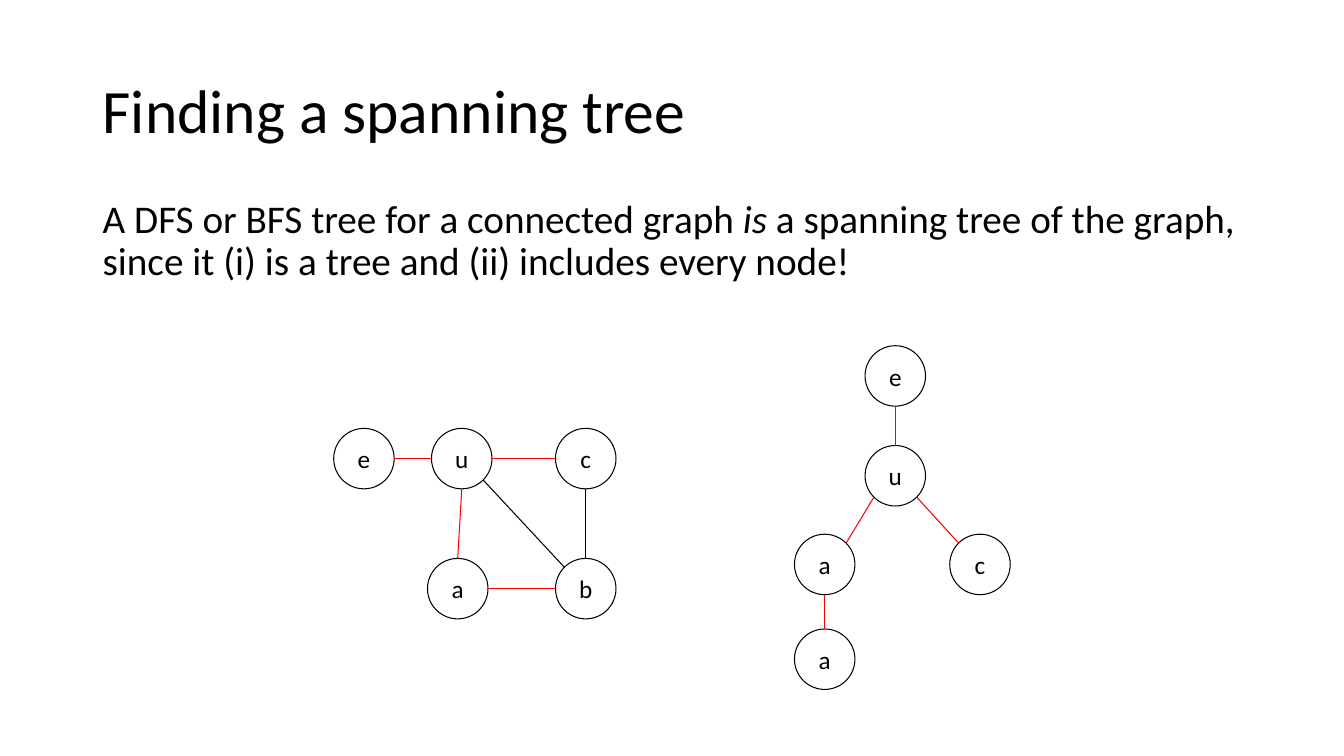
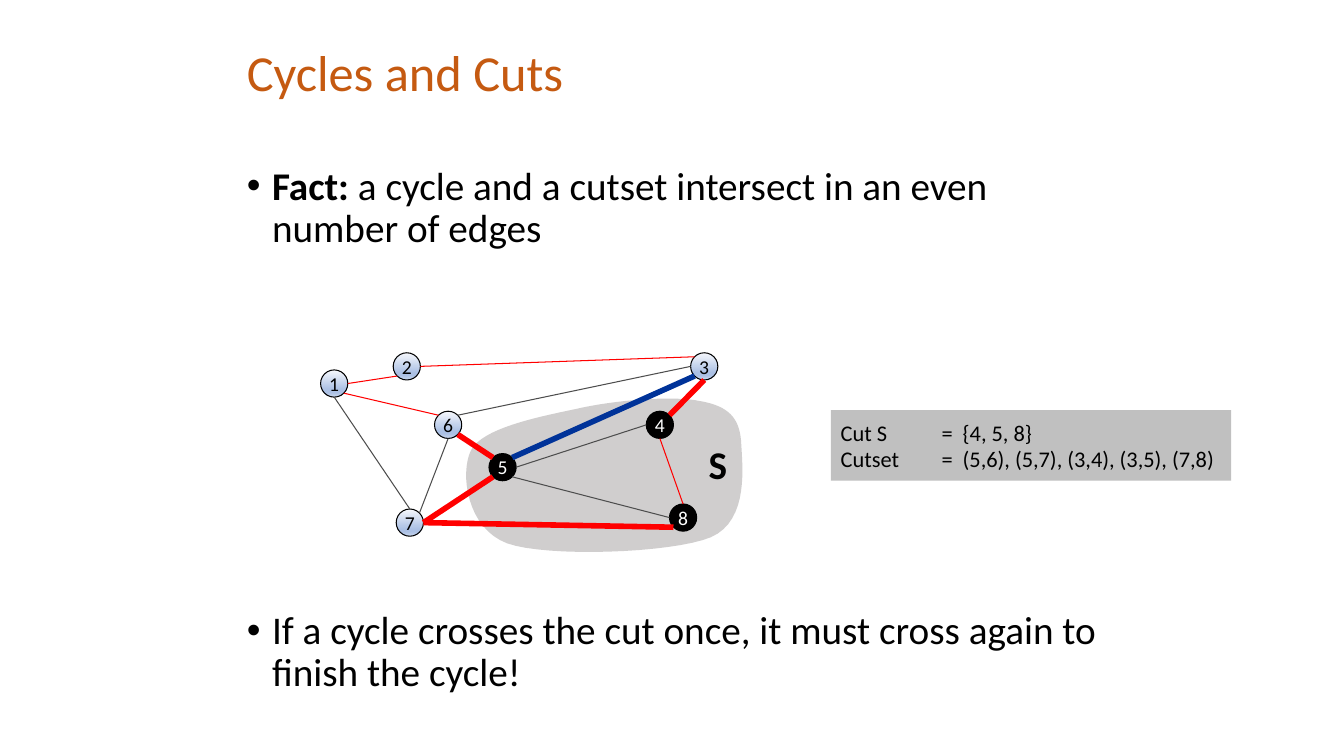
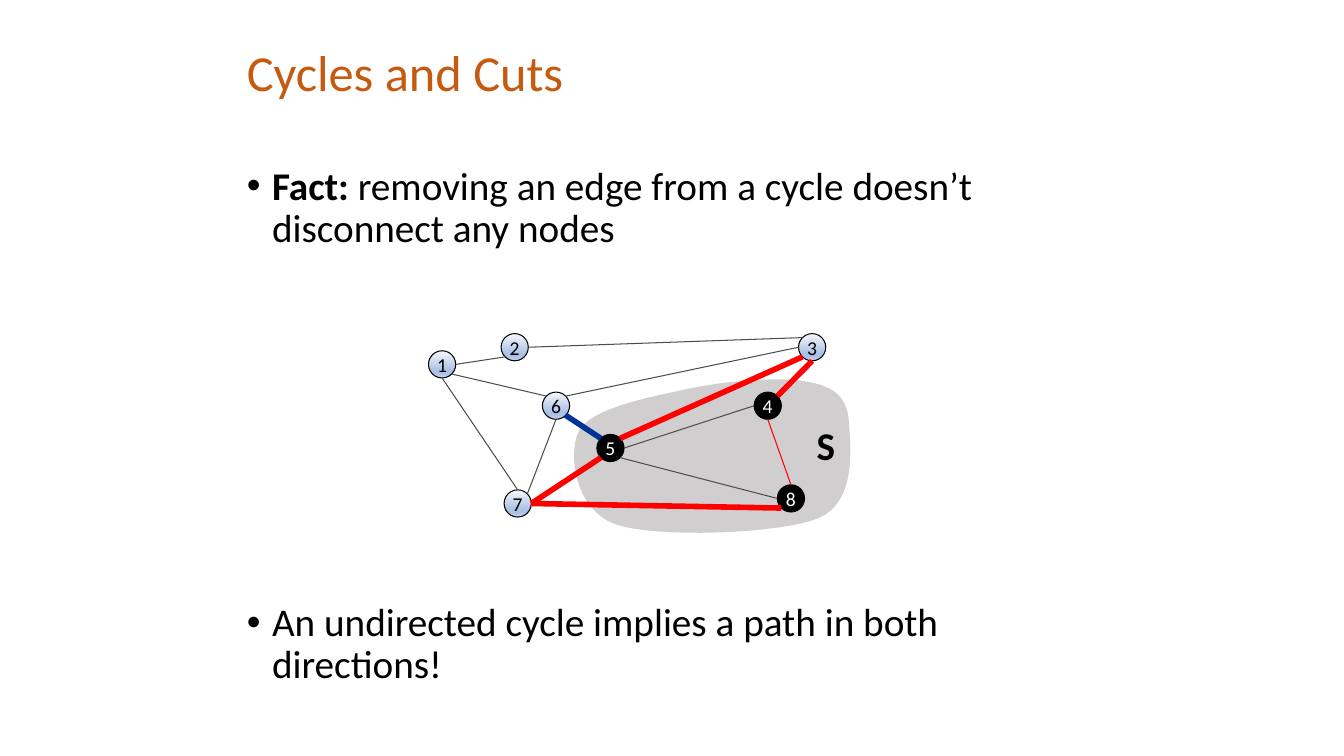
"""Build three slides on spanning trees, cycles and cuts."""
from math import cos, pi, sin

from lxml.etree import SubElement
from pptx import Presentation
from pptx.dml.color import RGBColor
from pptx.enum.shapes import MSO_CONNECTOR as CONN, MSO_SHAPE as SHAPE
from pptx.enum.text import MSO_ANCHOR as ANCHOR, PP_ALIGN as ALIGN
from pptx.oxml.ns import qn
from pptx.util import Pt

PX = 9144
FONT = "Calibri"
BLACK = RGBColor(0, 0, 0)
INK = RGBColor(1, 0, 0)
WHITE = RGBColor(0xFF, 0xFF, 0xFF)
RED = RGBColor(0xFF, 0, 0)
BLUE = RGBColor(0, 0x33, 0x99)
GRAY = RGBColor(0x4D, 0x4D, 0x4D)
ORANGE = RGBColor(0xC5, 0x5A, 0x11)
CUT_FILL = RGBColor(0xD0, 0xCE, 0xCE)
NOTE_FILL = RGBColor(0xC0, 0xC0, 0xC0)
NODE_STOPS = ((0, "F6F8FC"), (74, "ABC0E4"), (83, "ABC0E4"), (100, "C7D5ED"))

TOP, TOP_LEFT, LEFT, BOTTOM_LEFT, BOTTOM, BOTTOM_RIGHT, RIGHT, TOP_RIGHT = range(8)
THIN, THICK = 0.75, 4
PLAIN_EDGE, RED_EDGE = (GRAY, THIN), (RED, THIN)
CYCLE_EDGE, MARKED_EDGE = (RED, THICK), (BLUE, THICK)

BIG_NODE, SMALL_NODE = 60, 27
CUT_SET = "458"
CUT_NODES = {
    "1": (318, 367), "3": (685, 350), "8": (664, 500), "2": (390, 350),
    "6": (431, 408), "7": (393, 505), "4": (641, 408), "5": (485, 450),
}
CUT_EDGES = (
    ("1", RIGHT, "2", BOTTOM_LEFT), ("1", BOTTOM_RIGHT, "6", TOP_LEFT),
    ("1", BOTTOM, "7", TOP), ("6", TOP_RIGHT, "3", LEFT),
    ("4", TOP_RIGHT, "3", BOTTOM), ("6", BOTTOM_RIGHT, "5", TOP_LEFT),
    ("5", BOTTOM_RIGHT, "8", LEFT), ("5", RIGHT, "4", LEFT),
    ("4", BOTTOM, "8", TOP), ("3", BOTTOM_LEFT, "5", TOP_RIGHT),
    ("6", BOTTOM, "7", TOP_RIGHT), ("7", RIGHT, "5", BOTTOM_LEFT),
    ("2", RIGHT, "3", TOP_LEFT), ("7", RIGHT, "8", BOTTOM_LEFT),
)
SHARED_STYLES = {"43": CYCLE_EDGE, "75": CYCLE_EDGE, "78": CYCLE_EDGE, "48": RED_EDGE}
CUT_START = (735, 437)
CUT_CURVES = (
    ((733, 415), (723, 403), (695, 398)), ((668, 392), (608, 397), (570, 406)),
    ((532, 414), (478, 425), (467, 447)), ((456, 470), (463, 524), (503, 539)),
    ((542, 553), (666, 549), (705, 533)), ((744, 516), (736, 460), CUT_START),
)


def px(*values):
    """Turn px lengths into EMU."""
    return [round(v * PX) for v in values]


def write(tf, *paras, size=28, color=BLACK, bold=False, align=None, anchor=ANCHOR.TOP,
          wrap=True, spacing=None, bullet=False, tabs=()):
    """Fill a text frame; a paragraph is a string or a list of (text, style) runs."""
    tf.word_wrap, tf.vertical_anchor = wrap, anchor
    for i, para in enumerate(paras):
        p = tf.add_paragraph() if i else tf.paragraphs[0]
        p.alignment, p.line_spacing = align, spacing
        pPr = p._p.get_or_add_pPr()
        if bullet:
            pPr.set("marL", str(25 * PX))
            pPr.set("indent", str(-25 * PX))
            SubElement(pPr, qn("a:buFont"), typeface="Arial")
            SubElement(pPr, qn("a:buChar"), char="•")
        if tabs:
            stops = SubElement(pPr, qn("a:tabLst"))
            for pos in tabs:
                SubElement(stops, qn("a:tab"), pos=str(pos * PX), algn="l")
        for text, style in [(para, "")] if isinstance(para, str) else para:
            r = p.add_run()
            r.text = text
            f = r.font
            f.name, f.size, f.color.rgb = FONT, Pt(size), color
            f.bold, f.italic = bold or style == "b", style == "i"


def text_box(s, box, *paras, **fmt):
    """Add a text box holding the paragraphs."""
    write(s.shapes.add_textbox(*px(*box)).text_frame, *paras, **fmt)


def title(s, box, text, **fmt):
    """Add a slide title."""
    text_box(s, box, text, anchor=ANCHOR.MIDDLE, spacing=0.9, **fmt)


def bullet_box(s, top, para):
    """Add one bulleted statement."""
    text_box(s, (235, top, 862, 108), para, bullet=True, spacing=0.9)


def node(s, label, x, y, size=BIG_NODE, fill=WHITE, font_size=18):
    """Add a round graph node; without a fill colour it gets the gradient."""
    sp = s.shapes.add_shape(SHAPE.OVAL, *px(x, y, size, size))
    sp.shadow.inherit = False
    if fill is None:
        sp.fill.gradient()
        sp.fill.gradient_angle = 270
        stops = sp._element.spPr.find(".//" + qn("a:gsLst"))
        stops.clear()
        for pos, value in NODE_STOPS:
            gs = SubElement(stops, qn("a:gs"), pos=str(pos * 1000))
            SubElement(gs, qn("a:srgbClr"), val=value)
    else:
        sp.fill.solid()
        sp.fill.fore_color.rgb = fill
    sp.line.color.rgb, sp.line.width = BLACK, Pt(THIN)
    write(sp.text_frame, label, size=font_size, color=WHITE if fill == INK else BLACK,
          align=ALIGN.CENTER, anchor=ANCHOR.MIDDLE, wrap=False)
    return sp


def site_point(sp, site):
    """Locate one of the eight connection sites of a round node."""
    angle, radius = pi / 2 + site * pi / 4, sp.width / 2
    return (round(sp.left + radius * (1 + cos(angle))),
            round(sp.top + radius * (1 - sin(angle))))


def edge(s, start, start_site, end, end_site, color=RED, width=THIN):
    """Join two nodes with a straight line glued to their sites."""
    c = s.shapes.add_connector(CONN.STRAIGHT, *site_point(start, start_site),
                               *site_point(end, end_site))
    c.line.color.rgb, c.line.width = color, Pt(width)
    SubElement(c._element.spPr, qn("a:effectLst"))
    joints = c._element.nvCxnSpPr.cNvCxnSpPr
    for tag, sp, site in (("a:stCxn", start, start_site), ("a:endCxn", end, end_site)):
        SubElement(joints, qn(tag), id=str(sp.shape_id), idx=str(site))


def bezier(p0, p1, p2, p3, steps=16):
    """List the points of a cubic curve after its start."""
    points = []
    for i in range(1, steps + 1):
        t = i / steps
        u = 1 - t
        points.append(tuple(u**3 * a + 3 * u * u * t * b + 3 * u * t * t * c + t**3 * d
                            for a, b, c, d in zip(p0, p1, p2, p3)))
    return points


def cut_area(s, dx, dy):
    """Add the rounded area of the cut."""
    points, here = [], CUT_START
    for curve in CUT_CURVES:
        points += bezier(here, *curve)
        here = curve[-1]
    fb = s.shapes.build_freeform(*px(CUT_START[0] + dx, CUT_START[1] + dy))
    fb.add_line_segments([px(x + dx, y + dy) for x, y in points], close=True)
    sp = fb.convert_to_shape()
    sp.shadow.inherit = False
    sp.fill.solid()
    sp.fill.fore_color.rgb = CUT_FILL
    sp.line.fill.background()


def cut_graph(s, styles, dx=0, dy=0):
    """Draw the eight-node graph with its cut, shifted by dx and dy."""
    cut_area(s, dx, dy)
    nodes = {k: node(s, k, x + dx, y + dy, SMALL_NODE, INK if k in CUT_SET else None, 14)
             for k, (x, y) in CUT_NODES.items()}
    styles = SHARED_STYLES | styles
    for a, a_site, b, b_site in CUT_EDGES:
        edge(s, nodes[a], a_site, nodes[b], b_site, *styles.get(a + b, PLAIN_EDGE))
    text_box(s, (693 + dx, 432 + dy, 39, 57), "S", bold=True, wrap=False)


def cut_note(s):
    """Add the gray box that lists the cut and its cutset."""
    sp = s.shapes.add_shape(SHAPE.RECTANGLE, *px(824, 407, 397, 70))
    sp.shadow.inherit = False
    sp.fill.solid()
    sp.fill.fore_color.rgb = NOTE_FILL
    sp.line.fill.background()
    write(sp.text_frame, "Cut S\t=\t{4, 5, 8}",
          "Cutset\t=\t(5,6), (5,7), (3,4), (3,5), (7,8)",
          size=16, align=ALIGN.LEFT, anchor=ANCHOR.MIDDLE, tabs=(100, 121))


def spanning_tree_slide(s):
    """Show a graph beside its search tree."""
    title(s, (92, 40, 1150, 145), "Finding a spanning tree", size=44)
    text_box(s, (92, 193, 1150, 100), [
        ("A DFS or BFS tree for a connected graph ", ""), ("is", "i"),
        (" a spanning tree of the graph, since it (i) is a tree and (ii) includes every node!", ""),
    ], spacing=0.9)

    places = {"u": (428, 425), "c": (551, 425), "b": (551, 554), "a": (424, 554), "e": (331, 425)}
    graph = {k: node(s, k, *at) for k, at in places.items()}
    for a, a_site, b, b_site, color in (
            ("a", RIGHT, "b", LEFT, RED), ("c", BOTTOM, "b", TOP, BLACK),
            ("u", BOTTOM_RIGHT, "b", TOP_LEFT, BLACK), ("c", LEFT, "u", RIGHT, RED),
            ("u", BOTTOM, "a", TOP, RED), ("e", RIGHT, "u", LEFT, RED)):
        edge(s, graph[a], a_site, graph[b], b_site, color)

    places = {"e": (858, 343), "u": (858, 442), "c": (942, 530), "a": (788, 530)}
    tree = {k: node(s, k, *at) for k, at in places.items()}
    leaf = node(s, "a", 788, 624)
    edge(s, tree["c"], TOP_LEFT, tree["u"], BOTTOM_RIGHT)
    edge(s, tree["u"], BOTTOM_LEFT, tree["a"], TOP_RIGHT)
    edge(s, tree["e"], BOTTOM, tree["u"], TOP)
    edge(s, leaf, TOP, tree["a"], BOTTOM)


def cycle_slide(s, fact, closing, closing_top):
    """Add the title and the two statements of a cycle slide."""
    title(s, (235, 25, 862, 100), "Cycles and Cuts", size=36, color=ORANGE)
    bullet_box(s, 160, [("Fact: ", "b"), (fact, "")])
    bullet_box(s, closing_top, closing)


def main():
    """Build and save the presentation."""
    prs = Presentation()
    prs.slide_width, prs.slide_height = px(1333, 750)
    tree, cutset, removal = (prs.slides.add_slide(prs.slide_layouts[6]) for _ in range(3))

    spanning_tree_slide(tree)

    cycle_slide(cutset, "a cycle and a cutset intersect in an even number of edges",
                "If a cycle crosses the cut once, it must cross again to finish the cycle!", 601)
    cut_graph(cutset, {"12": RED_EDGE, "16": RED_EDGE, "23": RED_EDGE,
                       "65": CYCLE_EDGE, "35": MARKED_EDGE})
    cut_note(cutset)

    cycle_slide(removal, "removing an edge from a cycle doesn’t disconnect any nodes",
                "An undirected cycle implies a path in both directions!", 593)
    cut_graph(removal, {"35": CYCLE_EDGE, "65": MARKED_EDGE}, dx=107, dy=-19)

    prs.save("out.pptx")


if __name__ == "__main__":
    main()
